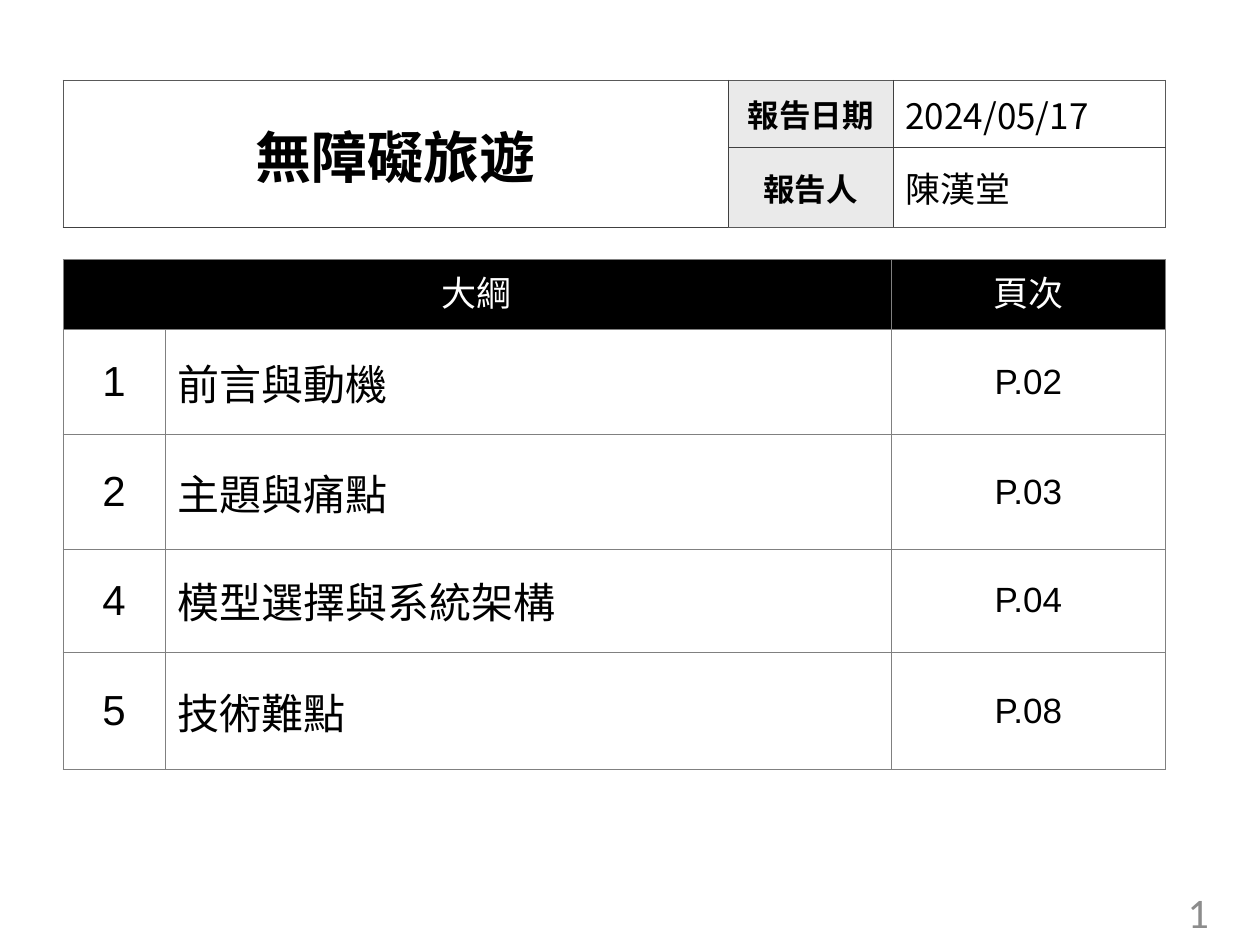
from lxml import etree
from pptx import Presentation
from pptx.dml.color import RGBColor
from pptx.enum.text import MSO_ANCHOR, PP_ALIGN
from pptx.oxml.ns import qn
from pptx.util import Cm, Pt

LEFT, CENTER, RIGHT = PP_ALIGN.LEFT, PP_ALIGN.CENTER, PP_ALIGN.RIGHT
TOP, MIDDLE = MSO_ANCHOR.TOP, MSO_ANCHOR.MIDDLE

COLORS = {
    "text": "000000", "light": "FFFFFF", "label": "EAEAEA", "header": "000000",
    "number": "8C8C8C", "outer": "595959", "inner": "404040", "grid": "808080",
}
CJK = "Noto Sans CJK SC"

TITLE = "無障礙旅遊"
DETAILS = [("報告日期", "2024/05/17"), ("報告人", "陳漢堂")]
OUTLINE_HEADS = ("大綱", "頁次")
OUTLINE = [
    ("1", "前言與動機", "P.02"),
    ("2", "主題與痛點", "P.03"),
    ("4", "模型選擇與系統架構", "P.04"),
    ("5", "技術難點", "P.08"),
]
PAGE_NUMBER = "1"

TABLE_LEFT = 1.27
SUMMARY_TOP, OUTLINE_TOP = 1.62, 5.23
SUMMARY_WIDTHS, SUMMARY_HEIGHTS = (13.41, 3.32, 5.5), (1.35, 1.35)
OUTLINE_WIDTHS, OUTLINE_HEIGHTS = (2.06, 14.63, 5.54), (1.42, 2.11, 2.31, 2.08, 2.36)


def rgb(name):
    return RGBColor.from_string(COLORS[name])


def write(frame, text, size, font=CJK, align=CENTER, color="text", bold=False):
    para = frame.paragraphs[0]
    para.text = text
    para.alignment = align
    para.font.size = Pt(size)
    para.font.name = font
    para.font.bold = bold
    para.font.color.rgb = rgb(color)
    east_asian = etree.Element(qn("a:ea"), typeface=CJK)
    para.font._element.find(qn("a:latin")).addnext(east_asian)


def fill_cell(cell, text, size, fill=None, anchor=MIDDLE, **style):
    cell.vertical_anchor = anchor
    if fill:
        cell.fill.solid()
        cell.fill.fore_color.rgb = rgb(fill)
    write(cell.text_frame, text, size, **style)


def draw_borders(cell, colors):
    """Draw half-point borders; colors run left, right, top, bottom."""
    properties = cell._tc.get_or_add_tcPr()
    for index, (side, color) in enumerate(zip("LRTB", colors)):
        line = etree.Element(qn(f"a:ln{side}"), w=str(Pt(0.5)))
        solid = etree.SubElement(line, qn("a:solidFill"))
        etree.SubElement(solid, qn("a:srgbClr"), val=COLORS[color])
        properties.insert(index, line)


def add_grid(page, top, widths, heights, outer, inner):
    """Add an unfilled table with one border colour outside and one inside."""
    table = page.shapes.add_table(
        len(heights), len(widths), Cm(TABLE_LEFT), Cm(top),
        Cm(sum(widths)), Cm(sum(heights))).table
    table.first_row = table.horz_banding = False
    for column, width in zip(table.columns, widths):
        column.width = Cm(width)
    for row, height in zip(table.rows, heights):
        row.height = Cm(height)
    last_row, last_column = len(heights) - 1, len(widths) - 1
    for r in range(len(heights)):
        for c in range(len(widths)):
            cell = table.cell(r, c)
            cell.fill.background()
            at_edge = (c == 0, c == last_column, r == 0, r == last_row)
            draw_borders(cell, [outer if edge else inner for edge in at_edge])
    return table


def add_summary(page):
    table = add_grid(page, SUMMARY_TOP, SUMMARY_WIDTHS, SUMMARY_HEIGHTS, "outer", "inner")
    table.cell(0, 0).merge(table.cell(1, 0))
    fill_cell(table.cell(0, 0), TITLE, 32, bold=True)
    for r, (label, value) in enumerate(DETAILS):
        fill_cell(table.cell(r, 1), label, 18, fill="label", bold=True)
        fill_cell(table.cell(r, 2), value, 20, align=LEFT)


def add_outline(page):
    table = add_grid(page, OUTLINE_TOP, OUTLINE_WIDTHS, OUTLINE_HEIGHTS, "grid", "grid")
    table.cell(0, 0).merge(table.cell(0, 1))
    for c, head in zip((0, 2), OUTLINE_HEADS):
        fill_cell(table.cell(0, c), head, 20, fill="header", anchor=TOP, color="light")
    for r, (number, topic, page_label) in enumerate(OUTLINE, start=1):
        fill_cell(table.cell(r, 0), number, 24, font="Arial")
        fill_cell(table.cell(r, 1), topic, 24, font="Arial", align=LEFT)
        fill_cell(table.cell(r, 2), page_label, 20, font="Arial")


def add_page_number(page):
    box = page.shapes.add_textbox(Cm(18.9), Cm(17.86), Cm(5.72), Cm(1.02))
    box.text_frame.word_wrap = True
    box.text_frame.vertical_anchor = MIDDLE
    write(box.text_frame, PAGE_NUMBER, 24, font="Calibri", align=RIGHT, color="number")


def main():
    deck = Presentation()
    deck.slide_width, deck.slide_height = Cm(25.4), Cm(19.05)
    page = deck.slides.add_slide(deck.slide_layouts[6])
    add_page_number(page)
    add_summary(page)
    add_outline(page)
    deck.save("out.pptx")


if __name__ == "__main__":
    main()
